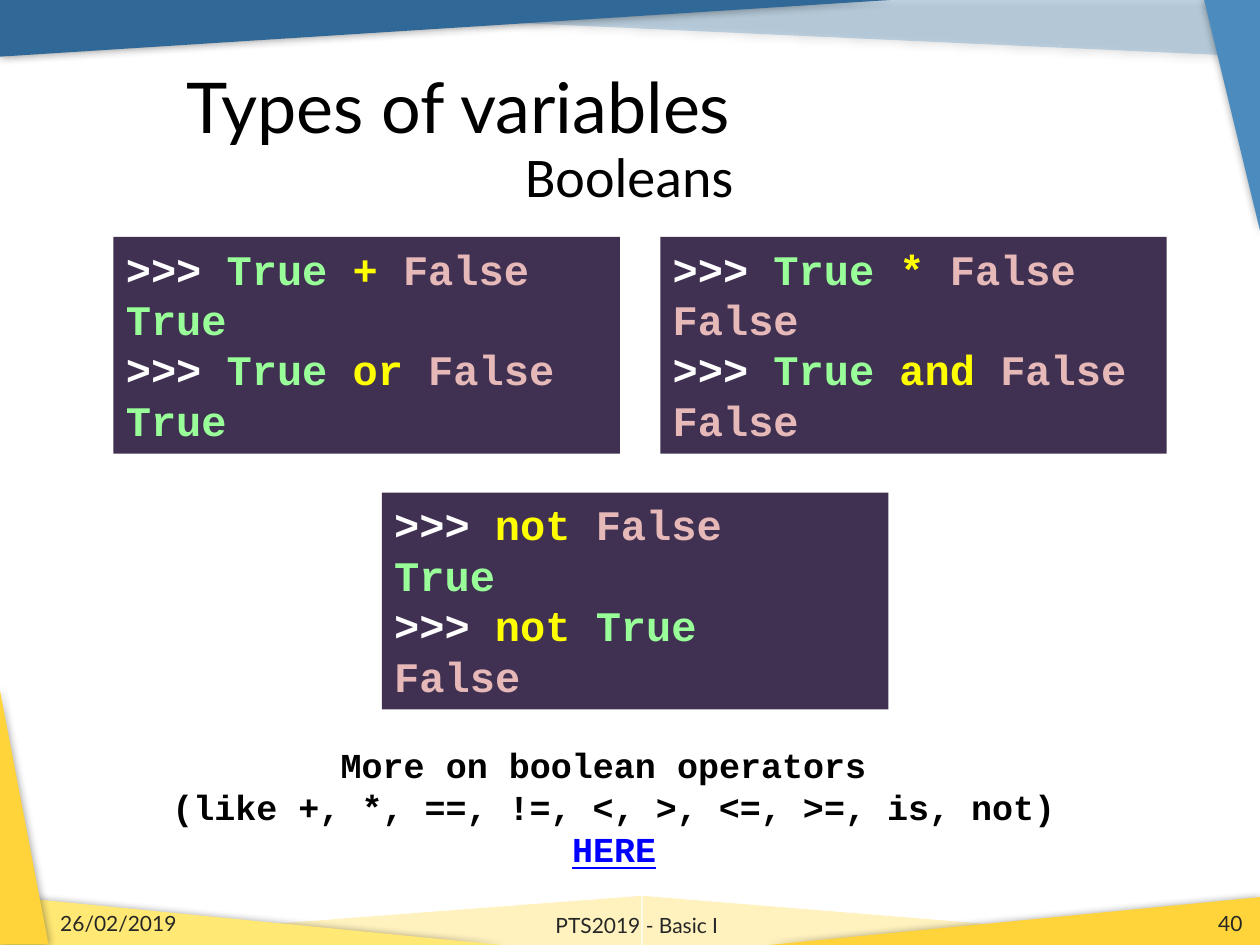
from lxml import etree
from pptx import Presentation
from pptx.dml.color import RGBColor
from pptx.enum.shapes import MSO_SHAPE
from pptx.enum.text import MSO_ANCHOR, MSO_AUTO_SIZE, PP_ALIGN
from pptx.oxml.ns import qn
from pptx.util import Inches, Pt

RECT, TRIANGLE = MSO_SHAPE.RECTANGLE, MSO_SHAPE.ISOSCELES_TRIANGLE
LEFT, CENTER, RIGHT = PP_ALIGN.LEFT, PP_ALIGN.CENTER, PP_ALIGN.RIGHT
TOP, MIDDLE = MSO_ANCHOR.TOP, MSO_ANCHOR.MIDDLE
FIT = MSO_AUTO_SIZE.SHAPE_TO_FIT_TEXT

BLUE, LIGHT_BLUE = "306998", "4B8BBE"
YELLOW, PALE_YELLOW, CREAM = "FFD43B", "FFE873", "FFF2BF"
PANEL, BLACK, GREY, LINK = "403152", "000000", "262626", "0000FF"
OPERATOR = "FFFF00"
TOKEN_COLORS = {">>>": "FFFFFF", "True": "99FF99", "False": "E6B9B8"}


def rgb(value):
    """Turn a hex string into a colour."""
    return RGBColor.from_string(value)


def inches(box):
    """Turn a box of numbers into lengths."""
    return [Inches(v) for v in box]


def set_font(target, name, size, color, bold=False):
    """Set the font of a paragraph."""
    font = target.font
    font.name, font.size, font.bold = name, Pt(size), bold
    font.color.rgb = rgb(color)


def add_filled(shapes, preset, box, color):
    """Add a preset shape with a plain fill and no line."""
    sp = shapes.add_shape(preset, *inches(box))
    sp.shadow.inherit = False
    sp.fill.solid()
    sp.fill.fore_color.rgb = rgb(color)
    sp.line.fill.background()
    return sp


def add_glow(sp):
    """Give a shape a soft shadow on all sides."""
    effects = sp._element.spPr.find(qn("a:effectLst"))
    shadow = etree.SubElement(effects, qn("a:outerShdw"), blurRad=str(Pt(5)),
                              dist="0", dir="0", algn="ctr", rotWithShape="0")
    color = etree.SubElement(shadow, qn("a:srgbClr"), val=BLACK)
    etree.SubElement(color, qn("a:alpha"), val="40000")


def add_wedge(shapes, box, color, flip="", rotation=0, alpha=None, glow=True):
    """Add a right-angled triangle, turned and flipped."""
    sp = add_filled(shapes, TRIANGLE, box, color)
    sp.adjustments[0] = 1
    sp.rotation = rotation
    for axis in flip:
        sp._element.spPr.xfrm.set(f"flip{axis}", "1")
    if alpha:
        fill = sp._element.spPr.find(f".//{qn('a:srgbClr')}")
        etree.SubElement(fill, qn("a:alpha"), val=str(alpha * 1000))
    if glow:
        add_glow(sp)


def add_frame(s, x, y, w, h):
    """Draw the coloured wedges along the edges of the box."""
    shapes, base = s.shapes, y + h - 0.39
    add_wedge(shapes, (x + 0.13, y, 9.85, 0.45), LIGHT_BLUE, "H", 180, 30)
    peak = shapes.add_group_shape().shapes
    add_wedge(peak, (x + 5.1, base, 4.78, 0.39), CREAM, "H", glow=False)
    add_wedge(peak, (x - 0.04, base, 5.13, 0.39), CREAM, glow=False)
    add_wedge(shapes, (x, base, 3.98, 0.39), PALE_YELLOW, "H")
    add_wedge(shapes, (x + w - 3.9, base + 0.01, 3.9, 0.38), YELLOW)
    add_wedge(shapes, (x, y, 7.07, 0.45), BLUE, "HV")
    add_wedge(shapes, (x + w - 1.15, y + 0.7, 1.86, 0.45), LIGHT_BLUE, "HV", 90)
    add_wedge(shapes, (x - 0.83, y + h - 1.22, 2.04, 0.39), YELLOW, "", 90)


def add_text(s, box, lines, font, size, color, align=LEFT, anchor=TOP,
             bold=False, wrap=True):
    """Add a text box with one paragraph for each line."""
    tf = s.shapes.add_textbox(*inches(box)).text_frame
    tf.word_wrap, tf.vertical_anchor = wrap, anchor
    for i, line in enumerate(lines):
        p = tf.paragraphs[0] if i == 0 else tf.add_paragraph()
        p.alignment = align
        p.add_run().text = line
        set_font(p, font, size, color, bold)
    return tf


def add_code(s, box, lines):
    """Add a dark panel with console lines coloured by token."""
    tf = add_filled(s.shapes, RECT, box, PANEL).text_frame
    tf.word_wrap, tf.vertical_anchor, tf.auto_size = True, TOP, FIT
    for i, line in enumerate(lines):
        p = tf.paragraphs[0] if i == 0 else tf.add_paragraph()
        p.alignment = LEFT
        tokens = line.split()
        for n, token in enumerate(tokens, 1):
            r = p.add_run()
            r.text = token if n == len(tokens) else token + " "
            r.font.color.rgb = rgb(TOKEN_COLORS.get(token, OPERATOR))
        set_font(p, "Courier New", 24, TOKEN_COLORS[">>>"], True)


def add_heading(s, x, y):
    """Add the title and the subtitle below it."""
    add_text(s, (x + 1.11, y, 8.12, 0.79), ["Types of variables"],
             "Lato", 40, BLACK, anchor=MIDDLE)
    add_text(s, (x, y + 0.63, 9.45, 0.79), ["Booleans"],
             "Calibri", 32, BLACK, CENTER, wrap=False)


def add_examples(s, x, y):
    """Add two code panels side by side and one below."""
    w, h = 4.02, 1.72
    add_code(s, (x, y, w, h),
             [">>> True + False", "True", ">>> True or False", "True"])
    add_code(s, (x + 4.34, y, w, h),
             [">>> True * False", "False", ">>> True and False", "False"])
    add_code(s, (x + 2.13, y + 2.03, w, h),
             [">>> not False", "True", ">>> not True", "False"])


def add_more(s, box):
    """Add the pointer to further reading."""
    lines = ["More on boolean operators ",
             "(like +, *, ==, !=, <, >, <=, >=, is, not)", "HERE"]
    tf = add_text(s, box, lines, "Courier New", 20, BLACK, CENTER, bold=True)
    tf.auto_size = FIT
    font = tf.paragraphs[-1].runs[0].font
    font.color.rgb, font.underline = rgb(LINK), True


def add_footer(s, x, y):
    """Add the date, the course name and the slide number."""
    for dx, dy, w, h, text, align in (
            (0, 0.07, 2.33, 0.23, "26/02/2019", LEFT),
            (3.09, 0, 3.17, 0.4, "PTS2019 - Basic I", CENTER),
            (7.25, 0.07, 2.33, 0.24, "40", RIGHT)):
        add_text(s, (x + dx, y + dy, w, h), [text], "Lato", 12, GREY,
                 align, MIDDLE)


def main():
    """Build the slide and save it."""
    prs = Presentation()
    prs.slide_width, prs.slide_height = Inches(10), Inches(7.5)
    s = prs.slides.add_slide(prs.slide_layouts[6])
    add_frame(s, 0, 0, 10, 7.5)
    add_heading(s, 0.27, 0.44)
    add_examples(s, 0.9, 1.88)
    add_more(s, (0.9, 5.85, 7.95, 1.11))
    add_footer(s, 0.38, 7.14)
    prs.save("out.pptx")


if __name__ == "__main__":
    main()
